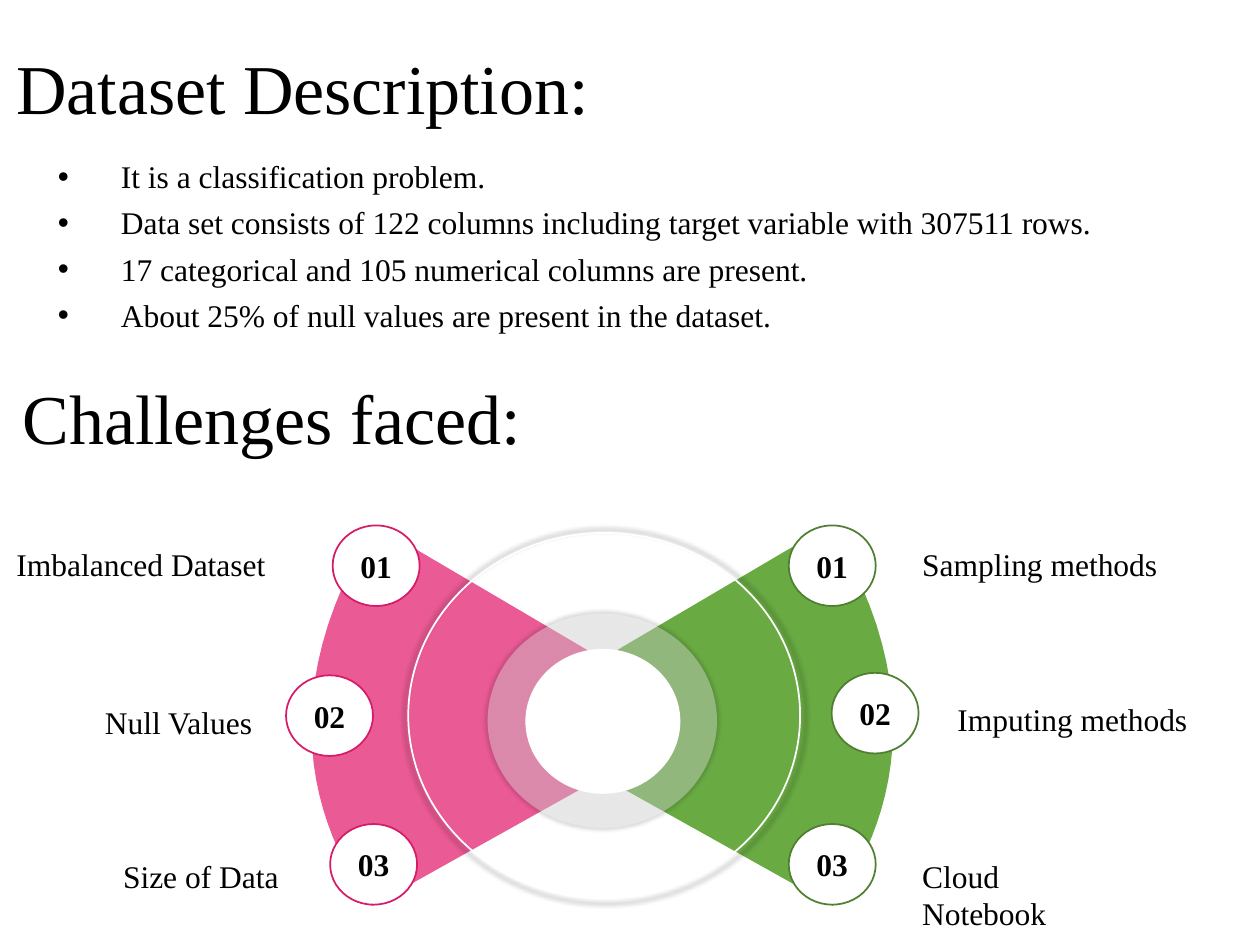
from lxml import etree
from pptx import Presentation
from pptx.dml.color import RGBColor
from pptx.enum import shapes, text
from pptx.oxml import ns
from pptx.util import Inches, Pt

FONT = "Times New Roman"
LEFT, CENTER, RIGHT = text.PP_ALIGN.LEFT, text.PP_ALIGN.CENTER, text.PP_ALIGN.RIGHT


def color(value):
    return RGBColor.from_string(value)


def write(frame, lines, size=18, bold=False, align=LEFT, inset=(0.1, 0.05),
          anchor=text.MSO_ANCHOR.TOP, bullets=False):
    """Fill a text frame with one paragraph per line."""
    frame.word_wrap = True
    frame.vertical_anchor = anchor
    frame.margin_left = frame.margin_right = Inches(inset[0])
    frame.margin_top = frame.margin_bottom = Inches(inset[1])
    for number, line in enumerate(lines):
        para = frame.add_paragraph() if number else frame.paragraphs[0]
        para.alignment = align
        if bullets:
            if number:
                para.space_before = Pt(4.7)
            props = para._p.get_or_add_pPr()
            props.set("marL", str(Inches(0.5)))
            props.set("indent", str(-Inches(0.5)))
            etree.SubElement(props, ns.qn("a:buFont"), typeface="Arial")
            etree.SubElement(props, ns.qn("a:buChar"), char="•")
        span = para.add_run()
        span.text = line
        span.font.name, span.font.size, span.font.bold = FONT, Pt(size), bold
        span.font.color.rgb = color("000000")


deck = Presentation()
deck.slide_width, deck.slide_height = Inches(10), Inches(7.5)
page = deck.slides.add_slide(deck.slide_layouts[6])

# Headings and dataset facts
title = page.shapes.add_textbox(Inches(0), Inches(0.3), Inches(5.41), Inches(0.78))
write(title.text_frame, ["Dataset Description:"], size=40, inset=(0.13, 0.07),
      anchor=text.MSO_ANCHOR.MIDDLE)

facts = page.shapes.add_textbox(Inches(0.33), Inches(1.18), Inches(9), Inches(1.67))
write(facts.text_frame, [
    "It is a classification problem.",
    "Data set consists of 122 columns including target variable with 307511 rows.",
    "17 categorical and 105 numerical columns are present.",
    "About 25% of null values are present in the dataset.",
], inset=(0.13, 0.07), bullets=True)

heading = page.shapes.add_textbox(Inches(0.08), Inches(2.92), Inches(4.69), Inches(0.77))
write(heading.text_frame, ["Challenges faced:"], size=40)

# Wedges: the right one mirrors the left one about the centre line
AXIS = 4.78
STEPS = 24
curve = [(2.98, 4.17), (2.15, 5.49), (2.48, 6.56), (2.95, 7.19)]
outline = [(4.68, 5.17)]
for step in range(STEPS + 1):
    t = step / STEPS
    weights = ((1 - t) ** 3, 3 * t * (1 - t) ** 2, 3 * t ** 2 * (1 - t), t ** 3)
    outline.append(tuple(sum(w * point[axis] for w, point in zip(weights, curve))
                         for axis in (0, 1)))
outline.append((4.65, 6.24))

for fill, mirrored in (("EA5A95", False), ("69AA43", True)):
    points = [(Inches(2 * AXIS - x if mirrored else x), Inches(y)) for x, y in outline]
    builder = page.shapes.build_freeform(*points[0])
    builder.add_line_segments(points[1:], close=True)
    wedge = builder.convert_to_shape()
    wedge.shadow.inherit = False
    wedge.fill.solid()
    wedge.fill.fore_color.rgb = color(fill)
    wedge.line.fill.background()

# Numbered badges
badges = [
    ("D81B69", [("01", 2.64, 4.17), ("02", 2.27, 5.36), ("03", 2.62, 6.54)]),
    ("4F7F32", [("01", 6.26, 4.17), ("02", 6.6, 5.34), ("03", 6.26, 6.54)]),
]
for edge, spots in badges:
    for number, x, y in spots:
        badge = page.shapes.add_shape(shapes.MSO_SHAPE.OVAL, Inches(x), Inches(y),
                                      Inches(0.69), Inches(0.64))
        badge.shadow.inherit = False
        badge.fill.solid()
        badge.fill.fore_color.rgb = color("FFFFFF")
        badge.line.color.rgb = color(edge)
        badge.line.width = Pt(1)
        write(badge.text_frame, [number], bold=True, align=CENTER, inset=(0.07, 0.04),
              anchor=text.MSO_ANCHOR.MIDDLE)

# Central rings: left, top, width, height, fill opacity in %, shadow blur in points
rings = [
    (3.87, 4.87, 1.82, 1.7, 34, 2),
    (4.17, 5.15, 1.23, 1.15, 100, None),
    (3.24, 4.23, 3.11, 2.9, None, 3),
]
for x, y, width, height, opacity, blur in rings:
    ring = page.shapes.add_shape(shapes.MSO_SHAPE.OVAL, Inches(x), Inches(y),
                                 Inches(width), Inches(height))
    ring.shadow.inherit = False
    if opacity is None:
        ring.fill.background()
        ring.line.color.rgb = color("FFFFFF")
        ring.line.width = Pt(1)
    else:
        ring.fill.solid()
        ring.fill.fore_color.rgb = color("FFFFFF")
        ring.line.fill.background()
        tint = ring._element.spPr.find(".//" + ns.qn("a:srgbClr"))
        etree.SubElement(tint, ns.qn("a:alpha"), val=str(opacity * 1000))
    if blur:
        effects = ring._element.spPr.find(ns.qn("a:effectLst"))
        shadow = etree.SubElement(effects, ns.qn("a:outerShdw"), blurRad=str(Pt(blur)),
                                  sx="102000", sy="102000", algn="ctr", rotWithShape="0")
        shade = etree.SubElement(shadow, ns.qn("a:srgbClr"), val="000000")
        etree.SubElement(shade, ns.qn("a:alpha"), val="40000")

# Challenges on the left, answers on the right
labels = [
    ("Imbalanced Dataset", -0.08, 4.28, 2.4, CENTER),
    ("Null Values", 0.18, 5.53, 1.92, RIGHT),
    ("Size of Data", 0.43, 6.75, 1.88, RIGHT),
    ("Sampling methods", 7.22, 4.28, 2.09, LEFT),
    ("Imputing methods", 7.5, 5.51, 2.35, LEFT),
    ("Cloud Notebook", 7.22, 6.75, 1.74, LEFT),
]
for label, x, y, width, align in labels:
    box = page.shapes.add_textbox(Inches(x), Inches(y), Inches(width), Inches(0.4))
    write(box.text_frame, [label], align=align)

deck.save("out.pptx")
